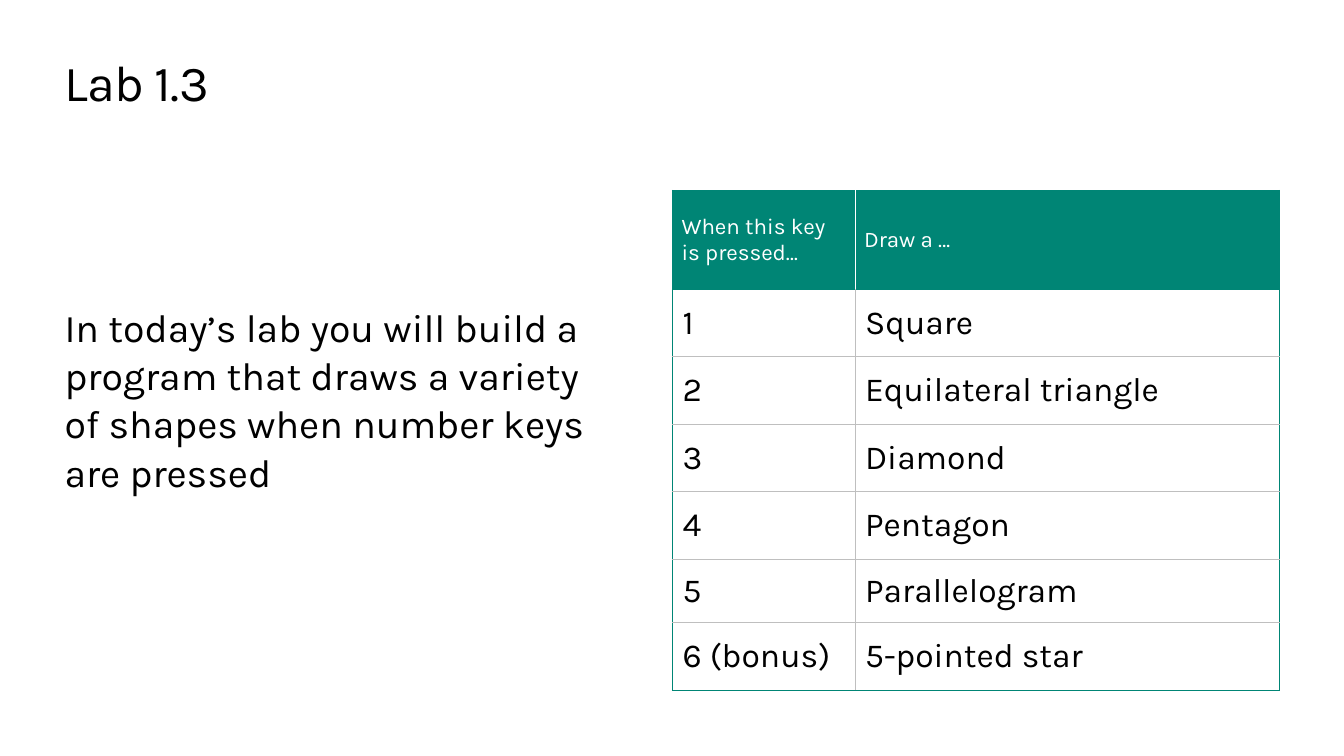
import pptx
import pptx.dml.color
import pptx.enum.text
import pptx.oxml
import pptx.oxml.ns
import pptx.util

FONT = "Karla"
GREEN, GREY, WHITE, BLACK = "008575", "BFBFBF", "FFFFFF", "000000"
MIDDLE = pptx.enum.text.MSO_ANCHOR.MIDDLE
Inches = pptx.util.Inches


def style(paragraph, size, color):
    paragraph.font.name = FONT
    paragraph.font.size = pptx.util.Pt(size)
    paragraph.font.bold = False
    paragraph.font.color.rgb = pptx.dml.color.RGBColor.from_string(color)


def add_border(cell, side, color):
    width = pptx.util.Pt(1 if color == GREEN else 0.75)
    cell._tc.get_or_add_tcPr().append(pptx.oxml.parse_xml(
        f'<a:ln{side} {pptx.oxml.ns.nsdecls("a")} w="{width}"><a:solidFill>'
        f'<a:srgbClr val="{color}"/></a:solidFill></a:ln{side}>'))


deck = pptx.Presentation()
deck.slide_width, deck.slide_height = Inches(13.33), Inches(7.5)
slide = deck.slides.add_slide(deck.slide_layouts[1])
heading, task = slide.placeholders

# Grid: left margin, table column and full content width
margin, table_left, content_width = 0.64, 6.67, 12.05

# Title and task description
for holder, text, top, width, height, size, anchor in (
    (heading, "Lab 1.3", 0.5, content_width, 0.61, 36, MIDDLE),
    (task, "In today’s lab you will build a program that draws a variety "
     "of shapes when number keys are pressed", 2.99, 5.4, 2.33, 28,
     pptx.enum.text.MSO_ANCHOR.TOP),
):
    holder.left, holder.top = Inches(margin), Inches(top)
    holder.width, holder.height = Inches(width), Inches(height)
    frame = holder.text_frame
    frame.text = text
    frame.word_wrap = True
    frame.auto_size = pptx.enum.text.MSO_AUTO_SIZE.NONE
    frame.vertical_anchor = anchor
    frame.margin_left = frame.margin_right = 0
    frame.margin_top = frame.margin_bottom = 0
    line = frame.paragraphs[0]
    line.alignment = pptx.enum.text.PP_ALIGN.LEFT
    line.space_before = 0
    properties = line._p.get_or_add_pPr()
    properties.set("marL", "0")
    properties.set("indent", "0")
    properties.append(pptx.oxml.parse_xml(
        f'<a:buNone {pptx.oxml.ns.nsdecls("a")}/>'))
    style(line, size, BLACK)
heading.text_frame.paragraphs[0].runs[0]._r.get_or_add_rPr().set("spc", "-50")
task.text_frame.paragraphs[0].line_spacing = 1.03

# Table of keys and shapes
key_rows = [
    ("When this key is pressed…", "Draw a …"),
    ("1", "Square"),
    ("2", "Equilateral triangle"),
    ("3", "Diamond"),
    ("4", "Pentagon"),
    ("5", "Parallelogram"),
    ("6 (bonus)", "5-pointed star"),
]
column_widths = [1.81, 4.21]
row_heights = [0.98, 0.67, 0.67, 0.67, 0.67, 0.63, 0.67]
keys = slide.shapes.add_table(
    len(key_rows), len(column_widths), Inches(table_left), Inches(1.89),
    Inches(sum(column_widths)), Inches(sum(row_heights))).table
keys.first_row = keys.horz_banding = False
for column, width in zip(keys.columns, column_widths):
    column.width = Inches(width)

last = len(key_rows) - 1
for r, (texts, height) in enumerate(zip(key_rows, row_heights)):
    keys.rows[r].height = Inches(height)
    header = r == 0
    inner = WHITE if header else GREY
    for c, text in enumerate(texts):
        cell = keys.cell(r, c)
        cell.text = text
        cell.vertical_anchor = MIDDLE
        cell.margin_left = cell.margin_right = Inches(0.09 if header else 0.1)
        cell.margin_top = cell.margin_bottom = Inches(0.05)
        style(cell.text_frame.paragraphs[0], 16 if header else 24,
              WHITE if header else BLACK)
        # Green frame around header and table, thin lines inside
        add_border(cell, "L", GREEN if c == 0 else inner)
        add_border(cell, "R", inner if c == 0 else GREEN)
        add_border(cell, "T", GREEN if r <= 1 else GREY)
        add_border(cell, "B", GREEN if r in (0, last) else GREY)
        cell.fill.solid()
        cell.fill.fore_color.rgb = pptx.dml.color.RGBColor.from_string(
            GREEN if header else WHITE)

deck.save("out.pptx")
